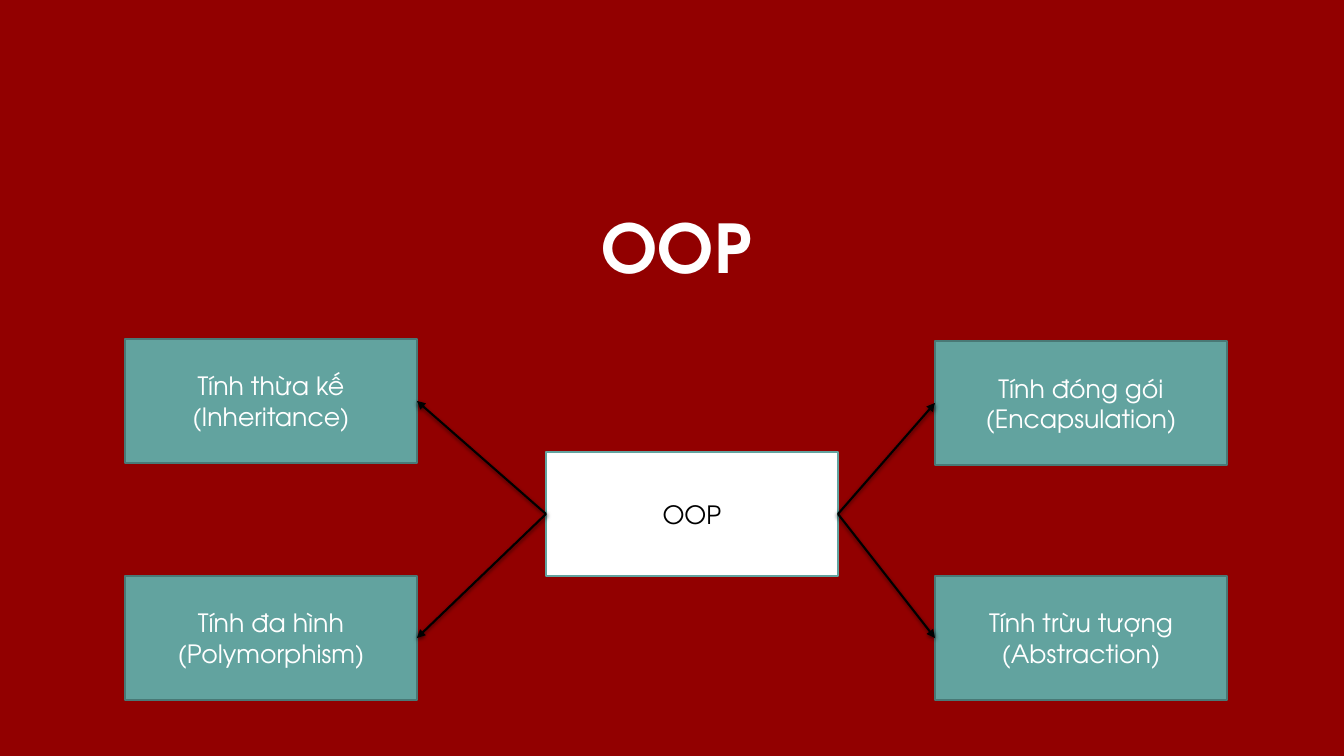
from lxml.etree import SubElement
from pptx import Presentation
from pptx.dml.color import RGBColor
from pptx.enum.shapes import MSO_CONNECTOR as Conn, MSO_SHAPE as Shape
from pptx.enum.text import MSO_ANCHOR as Anchor, MSO_AUTO_SIZE as Fit, PP_ALIGN as Align
from pptx.oxml.ns import qn
from pptx.util import Emu, Pt

SCALE = 914400 / 100.8
WIDE, HIGH = 1344, 756
BOX_W, BOX_H = 292, 124
LEFT, RIGHT = 1, 3


def px(n):
    return Emu(round(n * SCALE))


def color(code):
    return RGBColor.from_string(code)


class Page:
    font = "TeX Gyre Adventor"
    back, teal, edge = "920000", "62A39F", "497976"
    white, black = "FFFFFF", "000000"

    def __init__(self, deck):
        self.slide = deck.slides.add_slide(deck.slide_layouts[5])
        fill = self.slide.background.fill
        fill.solid()
        fill.fore_color.rgb = color(self.back)

    def label(self, shape, text, size, ink, bold=False):
        frame = shape.text_frame
        frame.word_wrap = True
        frame.auto_size = Fit.NONE
        frame.vertical_anchor = Anchor.MIDDLE
        frame.text = text
        para = frame.paragraphs[0]
        para.alignment = Align.CENTER
        font = para.font
        font.name, font.size, font.bold = self.font, Pt(size), bold
        font.color.rgb = color(ink)
        return frame

    def title(self, text, x, y, w, h):
        shape = self.slide.shapes.title
        shape.left, shape.top, shape.width, shape.height = map(px, (x, y, w, h))
        frame = self.label(shape, text, 48, self.white, True)
        frame.margin_left = frame.margin_right = 0
        frame.margin_top = frame.margin_bottom = 0
        frame.paragraphs[0].line_spacing = 0.85

    def box(self, text, x, y, fill=teal, line=edge, ink=white):
        shape = self.slide.shapes.add_shape(
            Shape.RECTANGLE, px(x), px(y), px(BOX_W), px(BOX_H))
        shape.shadow.inherit = False
        shape.fill.solid()
        shape.fill.fore_color.rgb = color(fill)
        shape.line.color.rgb = color(line)
        shape.line.width = Pt(1)
        self.label(shape, text, 18, ink)
        return shape

    def arrow(self, start, side, end, stop):
        """Join two box sides with a softly shadowed arrow."""
        link = self.slide.shapes.add_connector(Conn.STRAIGHT, 0, 0, 0, 0)
        link.begin_connect(start, side)
        link.end_connect(end, stop)
        link.line.color.rgb = color(self.black)
        link.line.width = Pt(1.5)
        props = link._element.spPr
        SubElement(props.find(qn("a:ln")), qn("a:tailEnd"), type="triangle")
        effects = SubElement(props, qn("a:effectLst"))
        shade = SubElement(effects, qn("a:outerShdw"), blurRad=str(Pt(3)),
                           dist=str(Pt(1)), dir="5400000", rotWithShape="0")
        tint = SubElement(shade, qn("a:srgbClr"), val=self.black)
        SubElement(tint, qn("a:alpha"), val="63000")


def main():
    deck = Presentation()
    deck.slide_width, deck.slide_height = px(WIDE), px(HIGH)
    page = Page(deck)
    page.title("OOP", 341, 198, 671, 109)
    hub = page.box("OOP", 546, 452, page.white, page.teal, page.black)
    traits = [
        ("Tính đóng gói (Encapsulation)", 935, 341, RIGHT),
        ("Tính trừu tượng (Abstraction)", 935, 576, RIGHT),
        ("Tính đa hình (Polymorphism)", 125, 576, LEFT),
        ("Tính thừa kế (Inheritance)", 125, 339, LEFT),
    ]
    for text, x, y, side in traits:
        trait = page.box(text, x, y)
        page.arrow(hub, side, trait, LEFT if side == RIGHT else RIGHT)
    deck.save("out.pptx")


if __name__ == "__main__":
    main()
